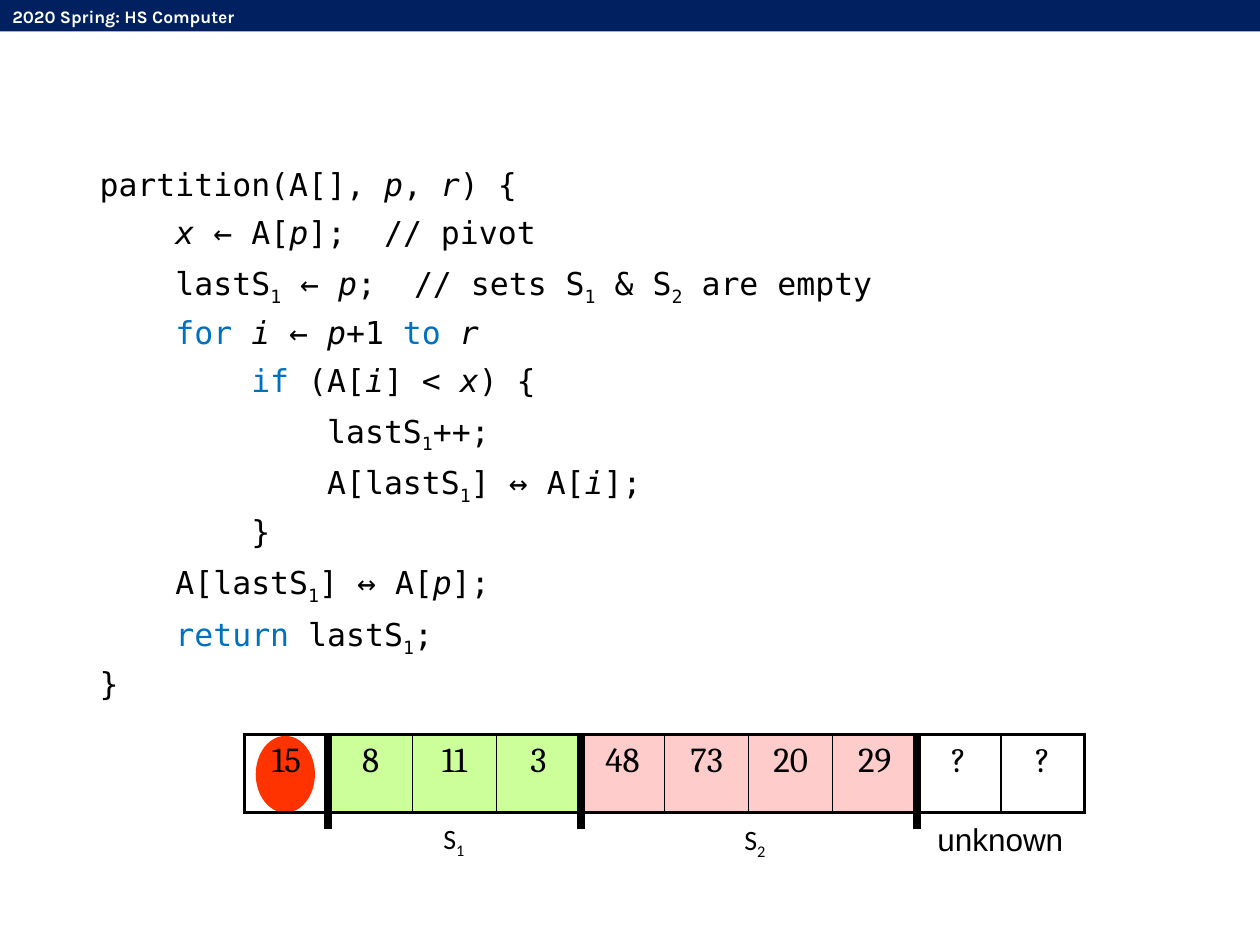
from lxml.etree import SubElement
from pptx import Presentation
from pptx.dml.color import RGBColor
from pptx.enum.shapes import MSO_CONNECTOR as CONN, MSO_SHAPE as SHAPE
from pptx.enum.text import MSO_ANCHOR as ANCHOR, MSO_AUTO_SIZE as AUTO, PP_ALIGN as ALIGN
from pptx.oxml.ns import qn
from pptx.util import Inches, Pt

COLORS = {"navy": "002060", "white": "FFFFFF", "black": "000000", "keyword": "0070C0",
          "pivot": "FF3300", "green": "CCFF99", "pink": "FFCCCC"}
HEADER = "2020 Spring: HS Computer"
CODE = [
    "partition(A[], |*p|, |*r|) {",
    "*    x| ← A[|*p|];  // pivot",
    "    lastS|_1| ← |*p|;  // sets S|_1| & S|_2| are empty",
    "@    for |*i| ← |*p|+1 |@to |*r",
    "@        if| (A[|*i|] < |*x|) {",
    "            lastS|_1|++;",
    "            A[lastS|_1|] ↔ A[|*i|];",
    "        }",
    "    A[lastS|_1|] ↔ A[|*p|];",
    "@    return| lastS|_1|;",
    "}",
]
REGIONS = [(["15"], None), (["8", "11", "3"], "green"),
           (["48", "73", "20", "29"], "pink"), (["?", "?"], None)]
LABELS = [("S|_1", 3.42, 6.47, 0.43, 0.37, "Calibri", 16),
          ("S|_2", 5.81, 6.48, 0.43, 0.37, "Calibri", 16),
          ("unknown", 7.34, 6.46, 1.21, 0.4, "Arial", 18)]
LEFT, TOP, WIDTH, HEIGHT = 1.94, 5.83, 6.67, 0.62


def rgb(name):
    return RGBColor.from_string(COLORS[name])


def write(p, text, font="Calibri", size=18, color="black", bold=False, align=None):
    """Write runs split at |, where * is italic, _ subscript and @ keyword."""
    p.alignment = align
    for part in text.split("|"):
        mark = part[0] if part[0] in "*_@" else ""
        r = p.add_run()
        r.text = part[len(mark):]
        r.font.name, r.font.size = font, Pt(size)
        r.font.bold, r.font.italic = bold, mark == "*"
        r.font.color.rgb = rgb("keyword" if mark == "@" else color)
        if mark == "_":
            r.font._element.set("baseline", "-25000")


def add_label(s, text, x, y, w, h, **style):
    tf = s.shapes.add_textbox(Inches(x), Inches(y), Inches(w), Inches(h)).text_frame
    tf.word_wrap = False
    write(tf.paragraphs[0], text, **style)


def add_block(s, kind, x, y, w, h, color):
    sp = s.shapes.add_shape(kind, Inches(x), Inches(y), Inches(w), Inches(h))
    sp.shadow.inherit = False
    sp.fill.solid()
    sp.fill.fore_color.rgb = rgb(color)
    sp.line.fill.background()


def add_code(s):
    sp = s.placeholders[1]
    sp.left, sp.top, sp.width, sp.height = (Inches(v) for v in (0.69, 1.32, 8.5, 4.49))
    tf = sp.text_frame
    tf.word_wrap, tf.auto_size, tf.vertical_anchor = True, AUTO.NONE, ANCHOR.TOP
    for i, line in enumerate(CODE):
        p = tf.add_paragraph() if i else tf.paragraphs[0]
        pPr = p._p.get_or_add_pPr()
        pPr.set("marL", str(Inches(0.38)))
        pPr.set("indent", str(Inches(-0.38)))
        SubElement(pPr, qn("a:buNone"))
        p.line_spacing, p.space_before = 0.8, Pt(10 if i else 0)
        write(p, line, font="DejaVu Sans Mono")


def set_borders(cell, **widths):
    tcPr = cell._tc.get_or_add_tcPr()
    for i, (side, width) in enumerate(widths.items()):
        ln = tcPr.makeelement(qn(f"a:ln{side}"), {"w": str(Pt(width))})
        fill = SubElement(ln, qn("a:solidFill"))
        SubElement(fill, qn("a:srgbClr"), val=COLORS["black"])
        tcPr.insert(i, ln)


def add_array(s):
    cells = [(value, color) for values, color in REGIONS for value in values]
    last = len(cells) - 1
    table = s.shapes.add_table(1, len(cells), Inches(LEFT), Inches(TOP),
                               Inches(WIDTH), Inches(HEIGHT)).table
    table.first_row = table.horz_banding = False
    for i, (value, color) in enumerate(cells):
        cell = table.cell(0, i)
        if color:
            cell.fill.solid()
            cell.fill.fore_color.rgb = rgb(color)
        else:
            cell.fill.background()
        set_borders(cell, L=1 if i else 2.25, R=1 if i < last else 2.25, T=2.25, B=2.25)
        write(cell.text_frame.paragraphs[0], value, font="Cambria", size=20,
              align=ALIGN.CENTER)


def add_dividers(s):
    step = WIDTH / sum(len(values) for values, _ in REGIONS)
    x = LEFT
    for values, _ in REGIONS[:-1]:
        x += step * len(values)
        line = s.shapes.add_connector(CONN.STRAIGHT, Inches(x), Inches(TOP),
                                      Inches(x), Inches(TOP + 0.75))
        line.line.color.rgb, line.line.width = rgb("black"), Pt(4.5)
        SubElement(line._element.spPr, qn("a:effectLst"))


def main():
    prs = Presentation()
    prs.slide_width, prs.slide_height = Inches(10), Inches(7.5)
    s = prs.slides.add_slide(prs.slide_layouts[1])
    title = s.shapes.title._element
    title.getparent().remove(title)
    add_block(s, SHAPE.RECTANGLE, 0, 0, 10, 0.25, "navy")
    add_label(s, HEADER, 0, 0, 2.31, 0.27, font="Karla", size=10, color="white", bold=True)
    add_code(s)
    add_block(s, SHAPE.OVAL, 2.03, 5.84, 0.47, 0.61, "pivot")
    add_array(s)
    add_dividers(s)
    for text, x, y, w, h, font, size in LABELS:
        add_label(s, text, x, y, w, h, font=font, size=size)
    prs.save("out.pptx")


if __name__ == "__main__":
    main()
